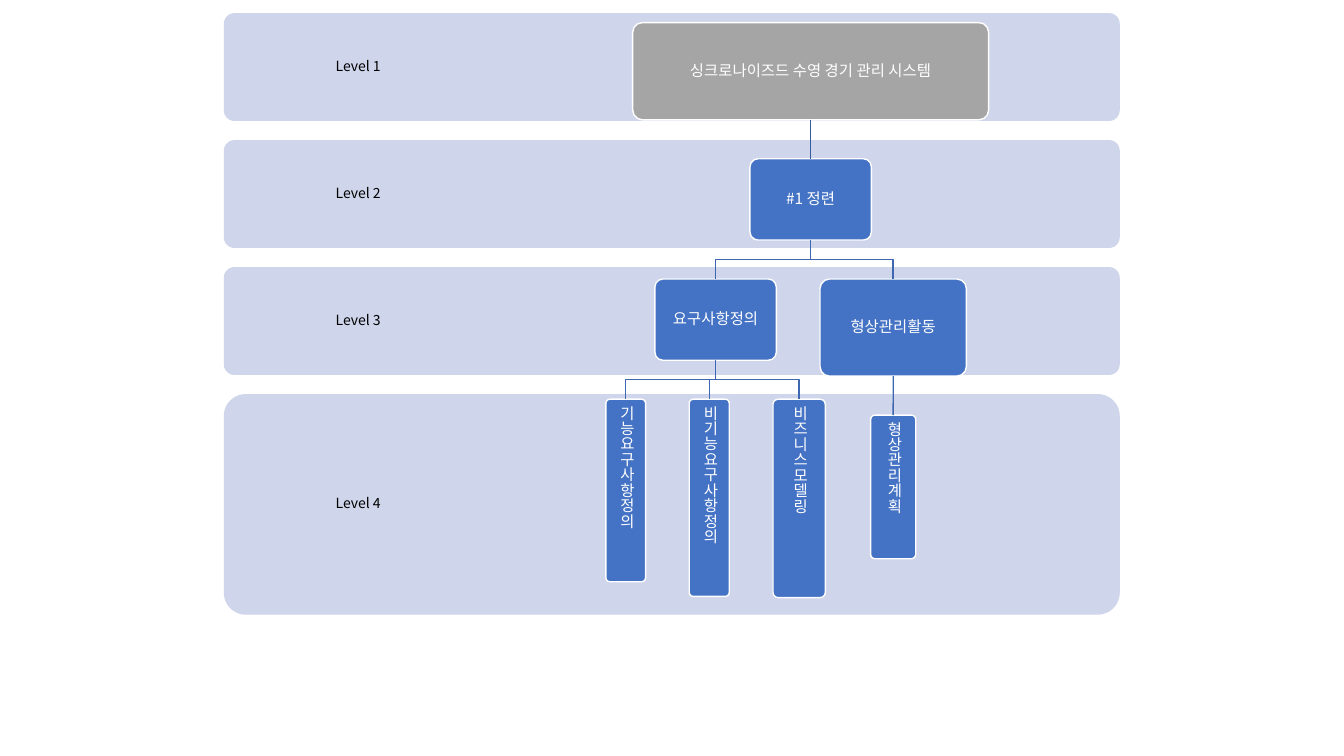
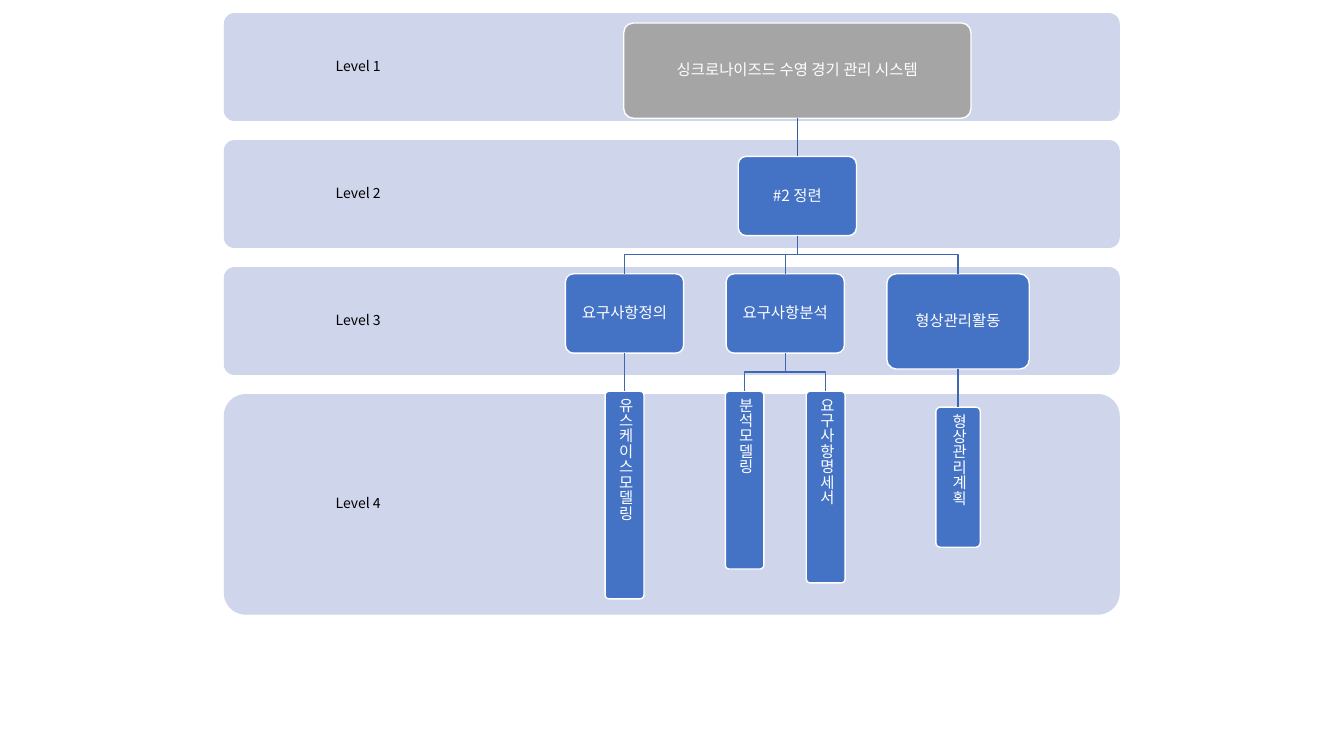
from dataclasses import dataclass, field

from lxml.etree import SubElement
from pptx import Presentation
from pptx.dml.color import RGBColor
from pptx.enum.shapes import MSO_CONNECTOR, MSO_SHAPE
from pptx.enum.text import MSO_ANCHOR, PP_ALIGN
from pptx.oxml.ns import qn
from pptx.util import Cm, Pt


@dataclass(frozen=True)
class Theme:
    font: str = "Noto Sans CJK KR"
    band: RGBColor = RGBColor(0xCF, 0xD5, 0xEA)
    label: RGBColor = RGBColor(0, 0, 0)
    root: RGBColor = RGBColor(0xA5, 0xA5, 0xA5)
    task: RGBColor = RGBColor(0x44, 0x72, 0xC4)
    white: RGBColor = RGBColor(0xFF, 0xFF, 0xFF)
    root_link: RGBColor = RGBColor(0x36, 0x5B, 0x9D)
    link: RGBColor = RGBColor(0x3E, 0x67, 0xB2)
    label_size: Pt = Pt(10)
    task_size: Pt = Pt(11)
    outline: Pt = Pt(1)
    corner: float = 0.1
    inset: float = 0.13


THEME = Theme()


@dataclass
class Task:
    """One box of the breakdown; lengths are in centimetres."""
    text: str
    width: float
    height: float
    children: list = field(default_factory=list)
    left: float = 0
    top: float = 0

    @property
    def center(self):
        return self.left + self.width / 2

    @property
    def right(self):
        return self.left + self.width

    @property
    def bottom(self):
        return self.top + self.height

    @property
    def upright(self):
        return self.height > self.width


SYSTEM = "싱크로나이즈드 수영 경기 관리 시스템"

# Per slide: left edge, top edge, gap between siblings, gap between levels, tree
BREAKDOWNS = [
    dict(left=15.27, top=0.57, sibling_gap=1.1, level_gap=0.98, root=Task(SYSTEM, 8.97, 2.45, [
        Task("#1 정련", 3.06, 2.05, [
            Task("요구사항정의", 3.06, 2.05, [
                Task("기능요구사항정의", 1.0, 4.6),
                Task("비기능요구사항정의", 1.01, 4.97),
                Task("비즈니스모델링", 1.32, 5.0),
            ]),
            Task("형상관리활동", 3.69, 2.45, [Task("형상관리계획", 1.14, 3.62)]),
        ]),
    ])),
    dict(left=14.25, top=0.58, sibling_gap=1.07, level_gap=0.96, root=Task(SYSTEM, 8.75, 2.4, [
        Task("#2 정련", 2.98, 2.0, [
            Task("요구사항정의", 2.98, 2.0, [Task("유스케이스모델링", 0.98, 5.23)]),
            Task("요구사항분석", 2.98, 2.0, [
                Task("분석모델링", 0.97, 4.48),
                Task("요구사항명세서", 0.98, 4.83),
            ]),
            Task("형상관리활동", 3.59, 2.4, [Task("형상관리계획", 1.12, 3.53)]),
        ]),
    ])),
]

LEVELS = [("Level 1", 2.72), ("Level 2", 2.72), ("Level 3", 2.72), ("Level 4", 5.56)]
BAND_LEFT, BAND_TOP, BAND_WIDTH, BAND_GAP = 5.64, 0.33, 22.58, 0.48
LABEL_SHARE = 0.3


def shift(task, distance, level, edges):
    task.left += distance
    edges[level] = max(edges.get(level, 0), task.right)
    for child in task.children:
        shift(child, distance, level + 1, edges)


def arrange(task, top, plan, edges, level=0):
    """Pack each level from the left and centre every task over its children."""
    task.top = top
    for child in task.children:
        arrange(child, task.bottom + plan["level_gap"], plan, edges, level + 1)
    first_free = edges[level] + plan["sibling_gap"] if level in edges else plan["left"]
    if task.children:
        middle = (task.children[0].left + task.children[-1].right) / 2
        task.left = middle - task.width / 2
    else:
        task.left = first_free
    shift(task, max(0, first_free - task.left), level, edges)


def add_panel(slide, left, top, width, height, fill):
    panel = slide.shapes.add_shape(
        MSO_SHAPE.ROUNDED_RECTANGLE, Cm(left), Cm(top), Cm(width), Cm(height))
    panel.adjustments[0] = THEME.corner
    panel.shadow.inherit = False
    panel.fill.solid()
    panel.fill.fore_color.rgb = fill
    panel.line.fill.background()
    return panel


def write(panel, text, size, color, align=PP_ALIGN.CENTER):
    frame = panel.text_frame
    frame.word_wrap = True
    frame.vertical_anchor = MSO_ANCHOR.MIDDLE
    frame.margin_left = frame.margin_right = Cm(THEME.inset)
    frame.margin_top = frame.margin_bottom = Cm(THEME.inset)
    paragraph = frame.paragraphs[0]
    paragraph.alignment = align
    paragraph.line_spacing = 0.9
    run = paragraph.add_run()
    run.text = text
    run.font.size = size
    run.font.name = THEME.font
    run.font.color.rgb = color
    SubElement(run._r.get_or_add_rPr(), qn("a:ea"), typeface=THEME.font)


def add_bands(slide):
    top = BAND_TOP
    for label, height in LEVELS:
        band = add_panel(slide, BAND_LEFT, top, BAND_WIDTH, height, THEME.band)
        write(band, label, THEME.label_size, THEME.label)
        band.text_frame.margin_right = Cm(THEME.inset + BAND_WIDTH * (1 - LABEL_SHARE))
        top += height + BAND_GAP


def add_link(slide, parent, child, parent_box, child_box, color):
    """Straight line to an only child, bent line to one of several."""
    start, end = (Cm(parent.center), Cm(parent.bottom)), (Cm(child.center), Cm(child.top))
    if len(parent.children) == 1:
        link = slide.shapes.add_connector(MSO_CONNECTOR.STRAIGHT, *start, *end)
        link.begin_connect(parent_box, 2)
        link.end_connect(child_box, 0)
        SubElement(link.element.spPr, qn("a:effectLst"))
    else:
        bend = Cm((parent.bottom + child.top) / 2)
        outline = slide.shapes.build_freeform(*start)
        outline.add_line_segments([(start[0], bend), (end[0], bend), end], close=False)
        link = outline.convert_to_shape()
        link.fill.background()
        link.shadow.inherit = False
    link.line.color.rgb = color
    link.line.width = THEME.outline


def add_task(slide, task, is_root=False):
    box = add_panel(slide, task.left, task.top, task.width, task.height,
                    THEME.root if is_root else THEME.task)
    box.line.color.rgb = THEME.white
    box.line.width = THEME.outline
    write(box, task.text, THEME.task_size, THEME.white,
          PP_ALIGN.LEFT if task.upright else PP_ALIGN.CENTER)
    if task.upright:
        box.element.txBody.bodyPr.set("vert", "eaVert")
    for child in task.children:
        child_box = add_task(slide, child)
        add_link(slide, task, child, box, child_box,
                 THEME.root_link if is_root else THEME.link)
    return box


def main():
    deck = Presentation()
    deck.slide_width, deck.slide_height = Cm(33.87), Cm(19.05)
    blank = deck.slide_layouts[6]
    for plan in BREAKDOWNS:
        slide = deck.slides.add_slide(blank)
        add_bands(slide)
        arrange(plan["root"], plan["top"], plan, {})
        add_task(slide, plan["root"], is_root=True)
    deck.save("out.pptx")


if __name__ == "__main__":
    main()
